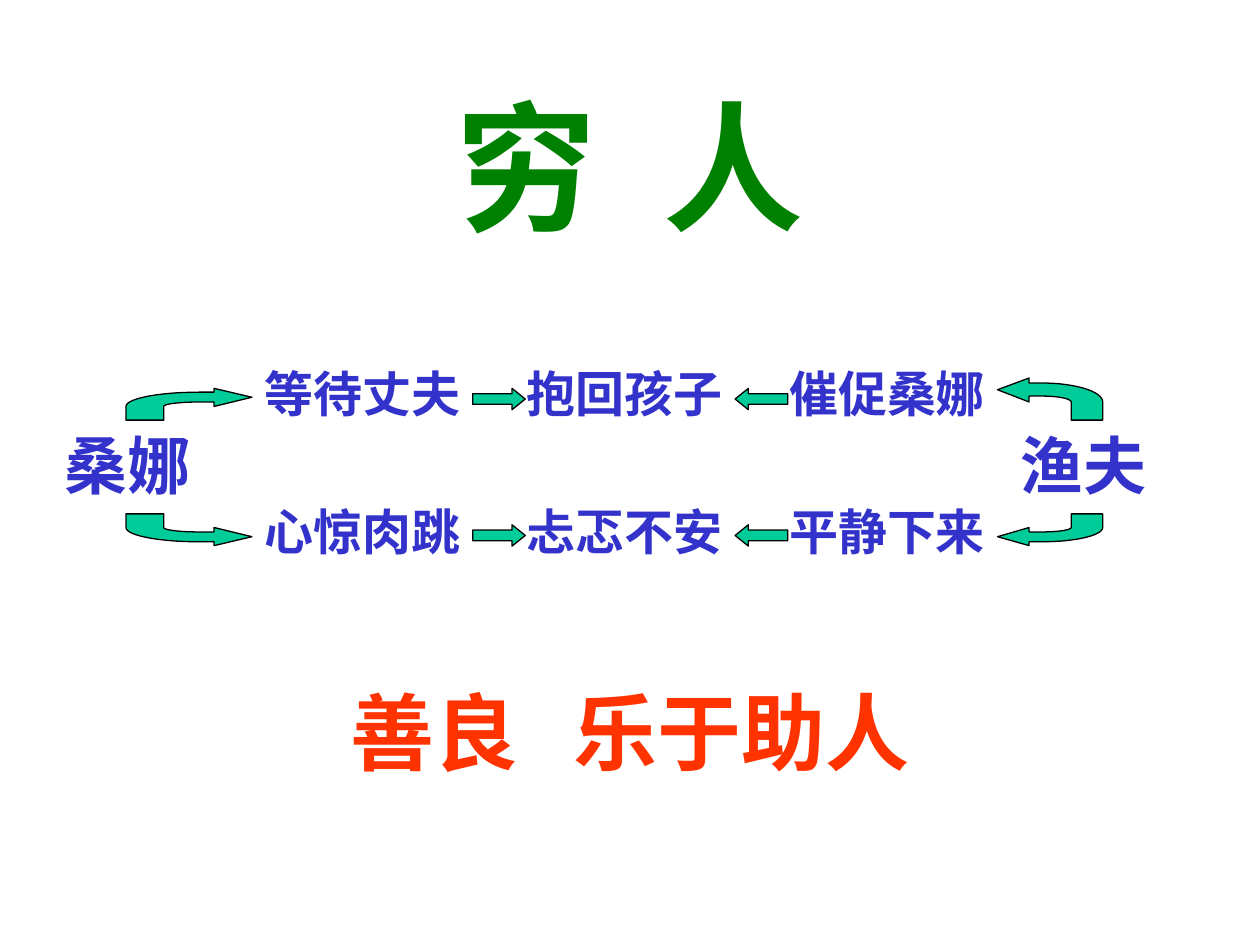
import math

import pptx
import pptx.dml.color
import pptx.enum.shapes
import pptx.enum.text
import pptx.oxml
import pptx.oxml.ns
import pptx.util

Cm = pptx.util.Cm
RGB = pptx.dml.color.RGBColor.from_string
SHAPE = pptx.enum.shapes.MSO_SHAPE
ALIGN = pptx.enum.text.PP_ALIGN

THEME = {
    "latin": "Times New Roman",
    "chinese": "Noto Sans CJK JP",
    "title": (80, "008000"),
    "person": (36, "3333CC"),
    "event": (28, "3333CC"),
    "motto": (48, "FF3300"),
    "arrow": "00CC99",
    "outline": "000000",
}


def write(shape, text, style, align=ALIGN.LEFT, latin=THEME["latin"], gap=0):
    """Fill the shape with one line; gap widens its spaces, in points."""
    size, color = THEME[style]
    frame = shape.text_frame
    frame.word_wrap = True
    frame.auto_size = pptx.enum.text.MSO_AUTO_SIZE.NONE
    frame.vertical_anchor = pptx.enum.text.MSO_ANCHOR.MIDDLE
    paragraph = frame.paragraphs[0]
    paragraph.alignment = align
    for piece in text.partition(" "):
        if not piece:
            continue
        run = paragraph.add_run()
        run.text = piece
        run.font.size = pptx.util.Pt(size)
        run.font.bold = True
        run.font.color.rgb = RGB(color)
        run.font.name = latin
        properties = run.font._element
        east_asian = pptx.oxml.parse_xml(
            f'<a:ea {pptx.oxml.ns.nsdecls("a")} typeface="{THEME["chinese"]}"/>')
        properties.find(pptx.oxml.ns.qn("a:latin")).addnext(east_asian)
        if piece == " ":
            properties.set("spc", str(gap * 100))


def paint_arrow(shape):
    shape.shadow.inherit = False
    shape.fill.solid()
    shape.fill.fore_color.rgb = RGB(THEME["arrow"])
    shape.line.color.rgb = RGB(THEME["outline"])
    shape.line.width = pptx.util.Pt(0.75)


presentation = pptx.Presentation()
presentation.slide_width = Cm(25.4)
presentation.slide_height = Cm(19.05)
slide = presentation.slides.add_slide(presentation.slide_layouts[5])
shapes = slide.shapes

title = shapes.title
title.left, title.top, title.width, title.height = Cm(8.26), Cm(1.48), Cm(8.89), Cm(3.66)
write(title, "穷 人", "title", ALIGN.CENTER, gap=20)

for name, left in (("桑娜", 1.06), ("渔夫", 20.32)):
    person = shapes.add_textbox(Cm(left), Cm(8.47), Cm(3.18), Cm(1.78))
    write(person, name, "person")

# Two rows of events, joined by arrows that point to the middle column
rows = [
    (7.2, 7.83, ("等待丈夫", "抱回孩子", "催促桑娜")),
    (9.98, 10.58, ("心惊肉跳", "忐忑不安", "平静下来")),
]
column_step = 5.29
for text_top, arrow_top, events in rows:
    for column, text in enumerate(events):
        event = shapes.add_textbox(
            Cm(5.08 + column * column_step), Cm(text_top), Cm(4.87), Cm(1.45))
        write(event, text, "event")
    for column, kind in enumerate((SHAPE.RIGHT_ARROW, SHAPE.LEFT_ARROW)):
        arrow = shapes.add_shape(
            kind, Cm(9.53 + column * column_step), Cm(arrow_top), Cm(1.06), Cm(0.43))
        arrow.adjustments[0] = 0.5
        arrow.adjustments[1] = 0.62
        paint_arrow(arrow)

# Bent arrow in a unit square: stem at bottom left, head at right
bend_x, bend_y = 0.58, 0.57
angles = [math.radians(6 * step) for step in range(16)]
outer = [(bend_x - 0.58 * math.sin(a), bend_y - 0.45 * math.cos(a)) for a in angles]
inner = [(bend_x - 0.28 * math.cos(a), bend_y - 0.14 * math.sin(a)) for a in angles]
outline = [(1, 0.28), (0.7, 0), (0.7, 0.12), *outer, (0, 1), (0.3, 1),
           *inner, (0.7, 0.43), (0.7, 0.57)]

# Origin and extent of each bent arrow; a negative extent mirrors it
bent_arrows = [
    (2.54, 7.83, 2.54, 0.64),
    (2.54, 11, 2.54, -0.64),
    (22.23, 7.62, -2.12, 0.85),
    (22.23, 11, -2.12, -0.64),
]
for left, top, width, height in bent_arrows:
    points = [(Cm(left + x * width), Cm(top + y * height)) for x, y in outline]
    builder = shapes.build_freeform(*points[0])
    builder.add_line_segments(points[1:], close=True)
    paint_arrow(builder.convert_to_shape())

motto = shapes.add_textbox(Cm(6.14), Cm(13.6), Cm(13.12), Cm(2.28))
write(motto, "善良 乐于助人", "motto", ALIGN.CENTER, THEME["chinese"], gap=21)

presentation.save("out.pptx")
